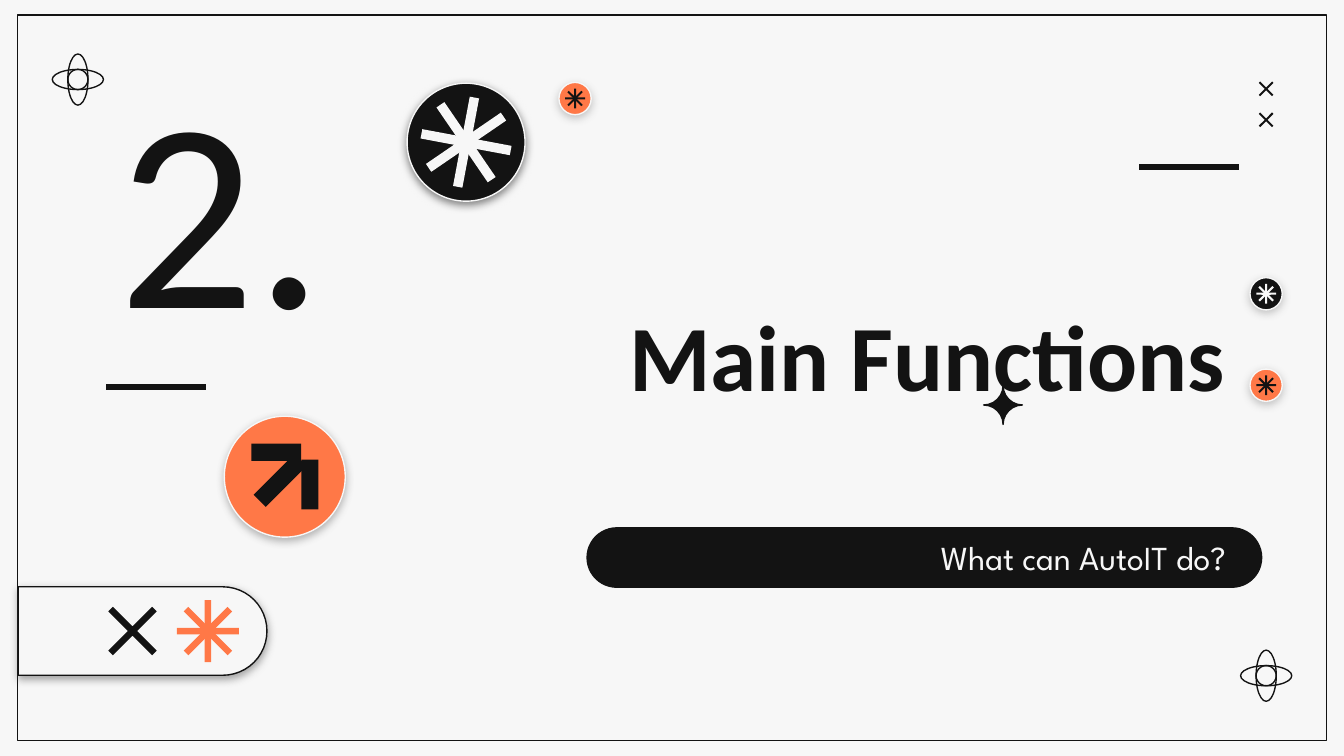
from dataclasses import dataclass

from lxml import etree
from pptx import Presentation
from pptx.dml.color import RGBColor
from pptx.enum.shapes import MSO_CONNECTOR, MSO_SHAPE
from pptx.enum.text import MSO_ANCHOR, PP_ALIGN
from pptx.oxml.ns import qn
from pptx.util import Pt

RECT, OVAL, CROSS = MSO_SHAPE.RECTANGLE, MSO_SHAPE.OVAL, MSO_SHAPE.MATH_MULTIPLY
PILL, TAB, SPARK = MSO_SHAPE.ROUNDED_RECTANGLE, MSO_SHAPE.ROUND_2_SAME_RECTANGLE, MSO_SHAPE.PLAQUE
STRAIGHT = MSO_CONNECTOR.STRAIGHT
LEFT, RIGHT, MIDDLE = PP_ALIGN.LEFT, PP_ALIGN.RIGHT, MSO_ANCHOR.MIDDLE


@dataclass(frozen=True)
class Theme:
    ink: str = "131313"
    paper: str = "F7F7F7"
    accent: str = "FF7847"
    shade: str = "4E4E4E"
    heading_font: str = "Calibri"
    body_font: str = "League Spartan"
    number_size: float = 145
    title_size: float = 50
    subtitle_size: float = 18
    outline: float = 0.75
    rule: float = 3


class SlideBuilder:
    """Draw themed elements on one page, with shapes placed by their centre in points."""

    def __init__(self, page, theme):
        self.page = page
        self.theme = theme
        fill = page.background.fill
        fill.solid()
        fill.fore_color.rgb = RGBColor.from_string(theme.paper)

    def group(self):
        return self.page.shapes.add_group_shape().shapes

    def shape(self, kind, center, size, fill=None, line=None, turn=0, adjust=(), layer=None):
        (x, y), (width, height) = center, size
        shapes = self.page.shapes if layer is None else layer
        item = shapes.add_shape(kind, Pt(x - width / 2), Pt(y - height / 2), Pt(width), Pt(height))
        item.shadow.inherit = False
        item.rotation = turn
        for index, value in enumerate(adjust):
            item.adjustments[index] = value
        if fill:
            item.fill.solid()
            item.fill.fore_color.rgb = RGBColor.from_string(fill)
        else:
            item.fill.background()
        if line:
            item.line.color.rgb = RGBColor.from_string(line)
            item.line.width = Pt(self.theme.outline)
        else:
            item.line.fill.background()
        return item

    def shadow(self, item, color, opacity):
        effects = item._element.spPr.find(qn("a:effectLst"))
        outer = etree.SubElement(effects, qn("a:outerShdw"), blurRad=str(Pt(4.5)),
                                 dist=str(Pt(1.5)), dir="5400000", algn="bl", rotWithShape="0")
        tint = etree.SubElement(outer, qn("a:srgbClr"), val=color)
        etree.SubElement(tint, qn("a:alpha"), val=str(opacity * 1000))

    def cross(self, center, size, color, turn=0, layer=None):
        self.shape(CROSS, center, (size, size), color, turn=turn, adjust=[0.077], layer=layer)

    def asterisk(self, center, size, color, turn=0, layer=None):
        for angle in (turn, (turn + 45) % 360):
            self.cross(center, size, color, angle, layer)

    def disc(self, center, size, fill, layer, shade, opacity):
        item = self.shape(OVAL, center, (size, size), fill, self.theme.paper, layer=layer)
        self.shadow(item, shade, opacity)

    def badge(self, center, fill, mark, size=17.3, mark_size=14.4, turn=0, shade=None, opacity=30):
        layer = self.group()
        self.disc(center, size, fill, layer, shade or self.theme.shade, opacity)
        self.asterisk(center, mark_size, mark, turn, layer)

    def orbit(self, center):
        layer = self.group()
        for width, turn in ((27.4, 0), (10.8, 0), (27.4, 90)):
            self.shape(OVAL, center, (width, 10.8), line=self.theme.ink, turn=turn, layer=layer)

    def arrow_badge(self, center):
        layer, ink = self.group(), self.theme.ink
        self.disc(center, 64.8, self.theme.accent, layer, self.theme.shade, 40)
        bars = (((150.1, 257.4), 31, 45), ((166, 259.6), 26.6, 0), ((148, 242.3), 26.6, 90))
        for middle, length, turn in bars:
            self.shape(RECT, middle, (9.2, length), ink, turn=turn, layer=layer)

    def side_tab(self, center):
        layer, theme = self.group(), self.theme
        tab = self.shape(TAB, center, (47.4, 133.2), theme.paper, theme.ink, 90, (0.5, 0), layer)
        self.shadow(tab, theme.shade, 50)
        self.cross((71, center[1]), 45.2, theme.ink, layer=layer)
        self.asterisk((111.4, center[1]), 45.2, theme.accent, layer=layer)

    def text(self, words, frame, font, size, color, align=LEFT, bold=False, spacing=None):
        box = self.page.shapes.add_textbox(*map(Pt, frame))
        body = box.text_frame
        body.word_wrap = True
        body.vertical_anchor = MIDDLE
        body.margin_left = body.margin_right = body.margin_top = body.margin_bottom = Pt(7.2)
        body.text = words
        para = body.paragraphs[0]
        para.alignment = align
        if spacing:
            para.line_spacing = spacing
        span = para.runs[0]
        span.font.name, span.font.size, span.font.bold = font, Pt(size), bold
        span.font.color.rgb = RGBColor.from_string(color)

    def rule(self, x, y, length):
        line = self.page.shapes.add_connector(STRAIGHT, Pt(x), Pt(y), Pt(x + length), Pt(y))
        line.line.color.rgb = RGBColor.from_string(self.theme.ink)
        line.line.width = Pt(self.theme.rule)
        etree.SubElement(line._element.spPr, qn("a:effectLst"))


def main():
    theme = Theme()
    deck = Presentation()
    deck.slide_width, deck.slide_height = Pt(720), Pt(405)
    builder = SlideBuilder(deck.slides.add_slide(deck.slide_layouts[6]), theme)
    ink, paper, accent = theme.ink, theme.paper, theme.accent
    margin_x = 678.3

    builder.shape(RECT, (360, 202.4), (701.3, 388.6), line=ink)
    for y in (47.6, 64.2):
        builder.cross((margin_x, y), 13.7, ink)
    builder.badge((margin_x, 206.4), accent, ink)
    builder.badge((margin_x, 157.4), ink, paper)
    for center in ((margin_x, 362), (41.7, 42.6)):
        builder.orbit(center)

    builder.text("Main Functions", (246.2, 124.6, 417.6, 141.1), theme.heading_font,
                 theme.title_size, ink, RIGHT, True, 0.8)
    builder.text("2.", (56.2, 39.6, 177.8, 135.4), theme.heading_font, theme.number_size, ink)
    builder.shape(PILL, (495.2, 298.7), (361.4, 31.8), ink, ink, adjust=[0.5])
    builder.text("What can AutoIT do?", (265, 287.3, 398.8, 22.3), theme.body_font,
                 theme.subtitle_size, paper, RIGHT)

    builder.shape(SPARK, (537.4, 217), (20.8, 20.8), ink, ink, adjust=[0.5])
    builder.side_tab((76.4, 338.1))
    builder.badge((249.7, 76.2), ink, paper, 63.2, 66.2, 325.6, ink, 50)
    builder.arrow_badge((152.6, 255.4))
    builder.badge((308.1, 52.8), accent, ink)
    for x, y in ((56.9, 207.4), (610.2, 89.4)):
        builder.rule(x, y, 53.6)

    deck.save("out.pptx")


if __name__ == "__main__":
    main()
